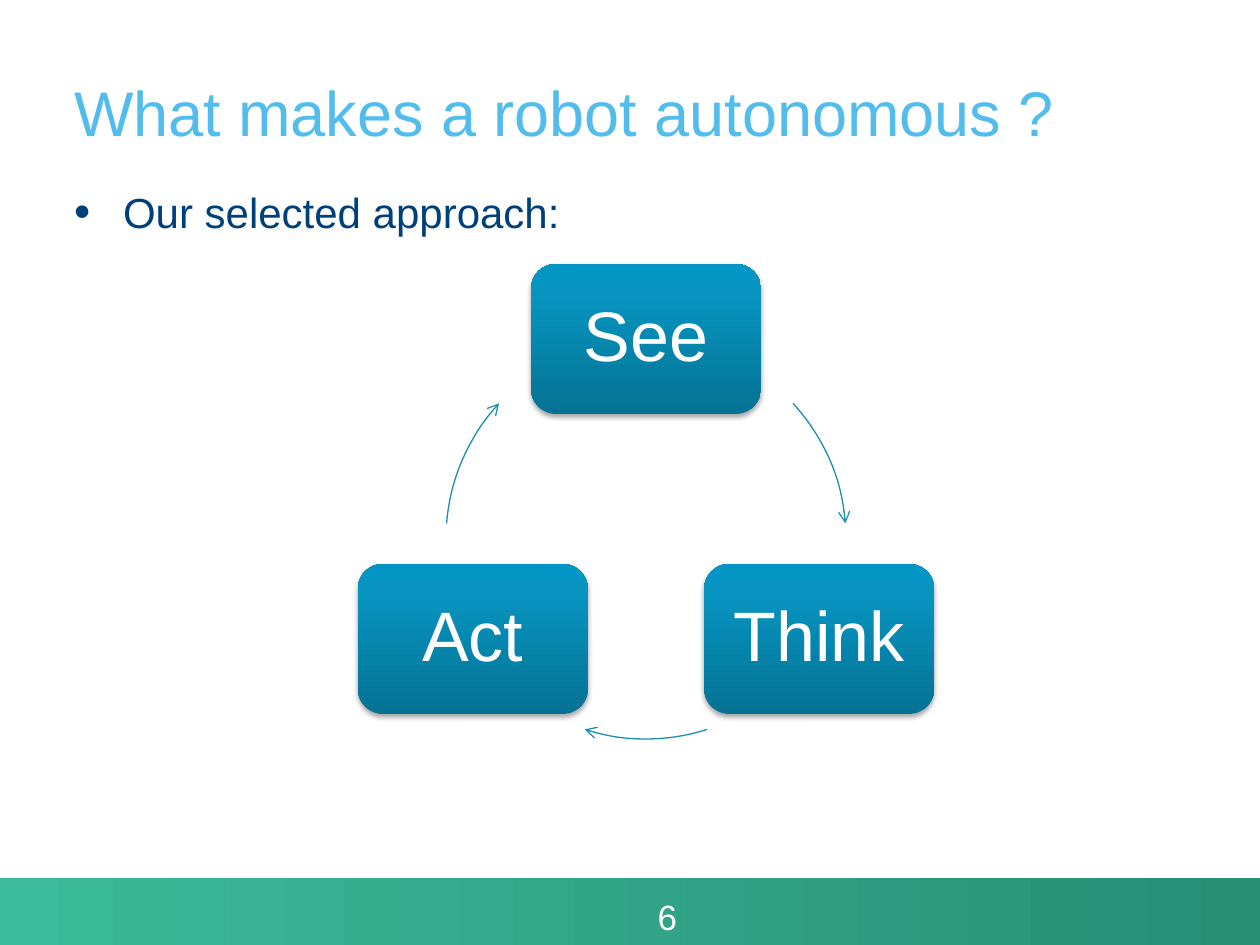
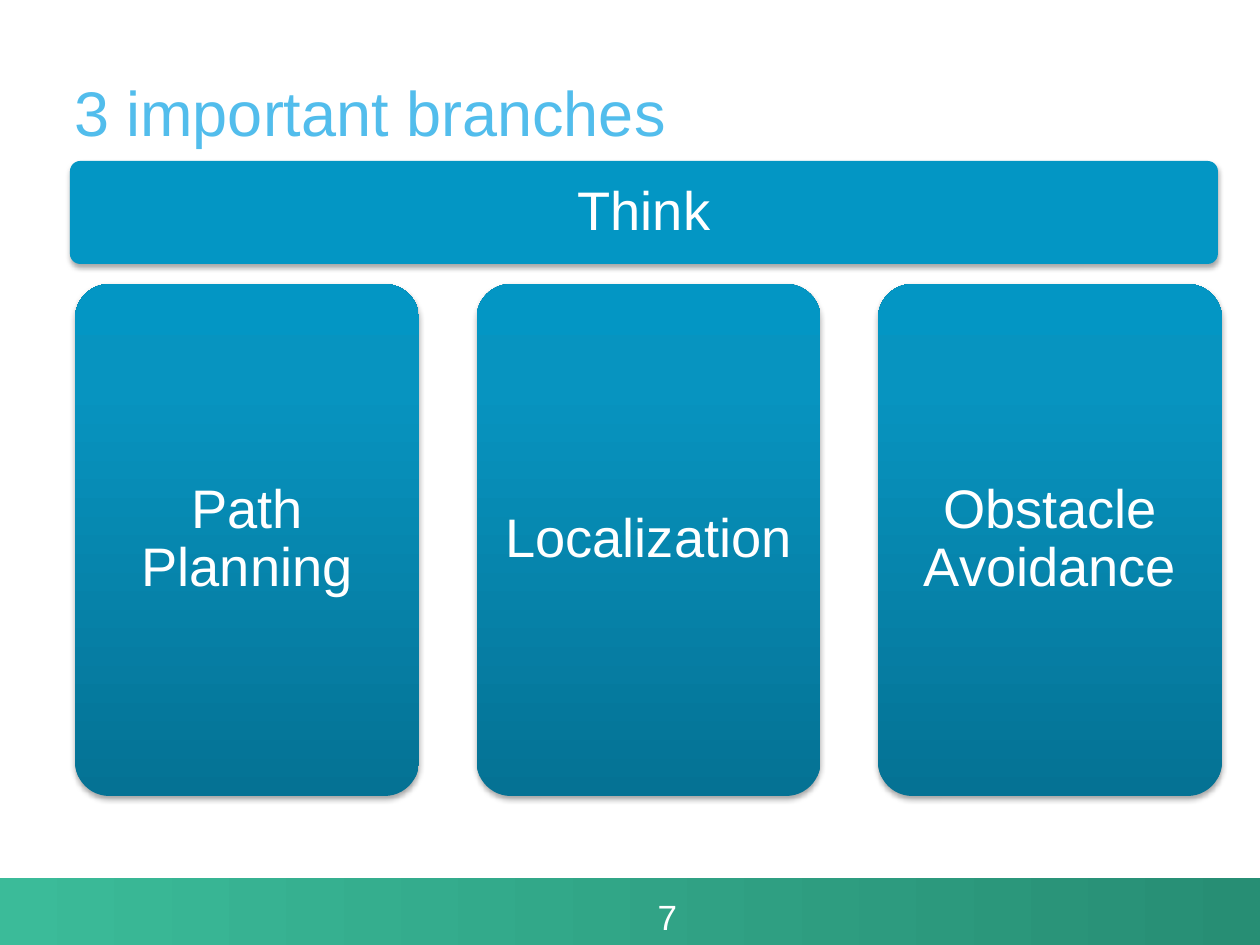
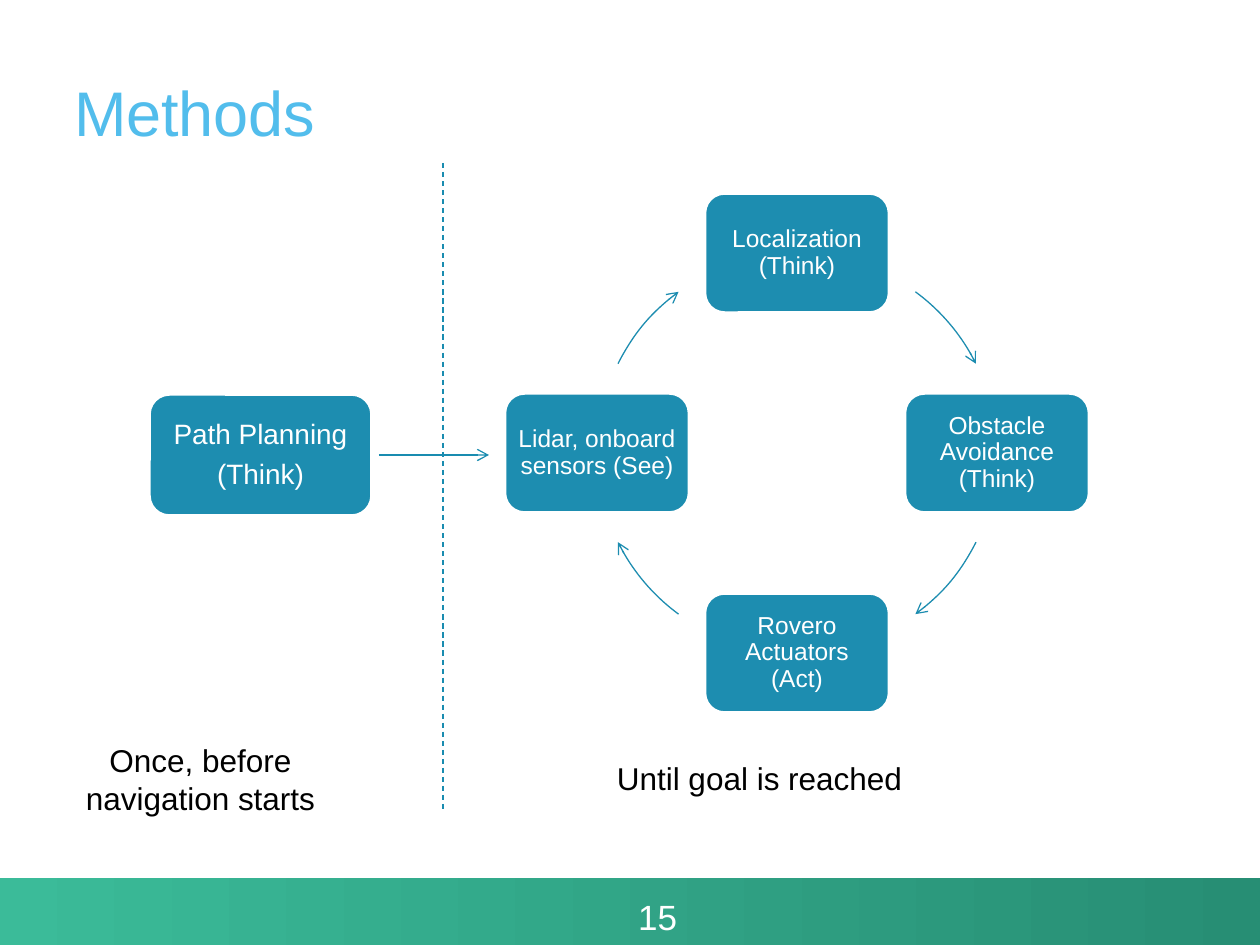
import math

import lxml.etree
import pptx
import pptx.dml.color
import pptx.enum.dml
import pptx.enum.shapes
import pptx.enum.text
import pptx.oxml.ns
import pptx.oxml.xmlchemy
import pptx.util

RGB = pptx.dml.color.RGBColor
SHAPE = pptx.enum.shapes.MSO_SHAPE
ALIGN = pptx.enum.text.PP_ALIGN
ANCHOR = pptx.enum.text.MSO_ANCHOR
qn = pptx.oxml.ns.qn

FONT = "Arial"
WHITE = RGB(0xFF, 0xFF, 0xFF)
BLACK = RGB(0x00, 0x00, 0x00)
TITLE_BLUE = RGB(0x52, 0xBD, 0xEC)
NAVY = RGB(0x00, 0x40, 0x7A)
TEAL = RGB(0x1D, 0x8D, 0xB0)
LINE_TEAL = RGB(0x19, 0x8C, 0xB0)
BAR_BLUE = RGB(0x03, 0x96, 0xC4)
BLUE_STOPS = [(0, RGB(0x05, 0x72, 0x94)), (80, RGB(0x07, 0x94, 0xC0)), (100, BAR_BLUE)]
GREEN_STOPS = [(0, RGB(0x3B, 0xBB, 0x99)), (100, RGB(0x27, 0x8E, 0x74))]

# Places are left, top, width, height in px
SLIDE_SIZE = (1260, 945)
TITLE_PLACE = (74, 25, 1148, 124)
BODY_PLACE = (74, 186, 1148, 88)
BAND_PLACE = (0, 878, 1260, 67)
NUMBER_PLACE = (583, 896, 94, 39)
BULLET_INDENT = 49

# Each cycle: nodes as (angle, text), arrows as (start angle, end angle), clockwise from the right
APPROACH = {
    "title": "What makes a robot autonomous ?",
    "number": "6",
    "bullet": "Our selected approach:",
    "center": (646, 539),
    "node_size": (230, 150),
    "nodes": [(270, "See"), (30, "Think"), (150, "Act")],
    "arrows": [(317.3, 355.5), (72.2, 107.8), (184.5, 222.7)],
    "style": {"size": 40, "inset": 21, "fill": BLUE_STOPS, "shadow": True},
}
BRANCHES = {
    "title": "3 important branches",
    "number": "7",
    "heading": "Think",
    "heading_place": (70, 161, 1148, 103),
    "columns": ["Path Planning", "Localization", "Obstacle Avoidance"],
    "first_column": (75, 284, 344, 512),
    "column_step": 401.5,
    "style": {"size": 31, "inset": 16, "shadow": True, "corner": 0.1},
}
METHODS = {
    "title": "Methods",
    "number": "15",
    "start": ["Path Planning", "(Think)"],
    "start_place": (149, 394, 223, 122),
    "start_arrow": (379, 455, 489, 455),
    "divider": (443, 163, 443, 811),
    "center": (797, 453),
    "node_size": (185, 120),
    "nodes": [
        (270, "Localization (Think)"),
        (0, "Obstacle Avoidance (Think)"),
        (90, "Rovero Actuators (Act)"),
        (180, "Lidar, onboard sensors (See)"),
    ],
    "arrows": [(306.3, 333.5), (26.5, 53.7), (126.3, 153.5), (206.5, 233.7)],
    "style": {"size": 14, "inset": 7, "fill": TEAL, "outline": WHITE},
    "captions": [
        ("Once, before navigation starts", (30, 735, 341, 89), True),
        ("Until goal is reached", (598, 753, 323, 50), False),
    ],
}
CYCLE_RADIUS = 200


def px(length):
    return pptx.util.Emu(round(length * 914400 / 126))


def place(shape, area):
    shape.left, shape.top, shape.width, shape.height = map(px, area)


def set_insets(frame, inset):
    frame.margin_left = frame.margin_right = px(inset)
    frame.margin_top = frame.margin_bottom = px(inset)


def add_span(para, text, size, color):
    span = para.add_run()
    span.text = text
    span.font.name = FONT
    span.font.size = pptx.util.Pt(size)
    span.font.color.rgb = color


def set_gradient(shape, stops, degrees):
    shape.fill.background()
    properties = shape.element.spPr
    gradient = pptx.oxml.xmlchemy.OxmlElement("a:gradFill")
    stop_list = lxml.etree.SubElement(gradient, qn("a:gsLst"))
    for percent, color in stops:
        stop = lxml.etree.SubElement(stop_list, qn("a:gs"), pos=str(percent * 1000))
        lxml.etree.SubElement(stop, qn("a:srgbClr"), val=str(color))
    lxml.etree.SubElement(gradient, qn("a:lin"), ang=str(degrees * 60000), scaled="0")
    properties.replace(properties.find(qn("a:noFill")), gradient)


def set_shadow(shape):
    effects = shape.element.spPr.find(qn("a:effectLst"))
    shadow = lxml.etree.SubElement(
        effects, qn("a:outerShdw"), blurRad="39370", dist="22860", dir="5400000", rotWithShape="0")
    color = lxml.etree.SubElement(shadow, qn("a:srgbClr"), val="000000")
    lxml.etree.SubElement(color, qn("a:alpha"), val="35000")


def add_arrowhead(shape):
    line = shape.element.spPr.find(qn("a:ln"))
    lxml.etree.SubElement(line, qn("a:tailEnd"), type="arrow")


def add_card(page, area, texts, size, inset, fill, outline=None, shadow=False, corner=0.1667):
    """Rounded box with centred white text, one paragraph for each of texts."""
    box = page.shapes.add_shape(SHAPE.ROUNDED_RECTANGLE, *map(px, area))
    box.adjustments[0] = corner
    box.shadow.inherit = False
    if isinstance(fill, list):
        set_gradient(box, fill, 270)
    else:
        box.fill.solid()
        box.fill.fore_color.rgb = fill
    if outline is None:
        box.line.fill.background()
    else:
        box.line.color.rgb = outline
        box.line.width = pptx.util.Pt(2)
    if shadow:
        set_shadow(box)
    frame = box.text_frame
    frame.word_wrap = True
    frame.vertical_anchor = ANCHOR.MIDDLE
    set_insets(frame, inset)
    for index, text in enumerate(texts):
        para = frame.add_paragraph() if index else frame.paragraphs[0]
        para.alignment = ALIGN.CENTER
        para.line_spacing = 0.9
        if index:
            para.space_before = pptx.util.Pt(round(size * 0.35, 1))
        add_span(para, text, size, WHITE)


def add_cycle(page, content):
    center_x, center_y = content["center"]
    width, height = content["node_size"]
    for angle, text in content["nodes"]:
        left = center_x + CYCLE_RADIUS * math.cos(math.radians(angle)) - width / 2
        top = center_y + CYCLE_RADIUS * math.sin(math.radians(angle)) - height / 2
        add_card(page, (left, top, width, height), [text], **content["style"])
    ring = (center_x - CYCLE_RADIUS, center_y - CYCLE_RADIUS, 2 * CYCLE_RADIUS, 2 * CYCLE_RADIUS)
    for angles in content["arrows"]:
        arc = page.shapes.add_shape(SHAPE.ARC, *map(px, ring))
        for index, angle in enumerate(angles):
            arc.adjustments[index] = angle * 0.6
        arc.shadow.inherit = False
        arc.fill.background()
        arc.line.color.rgb = TEAL
        arc.line.width = pptx.util.Pt(0.75)
        add_arrowhead(arc)


def add_line(page, ends):
    line = page.shapes.add_connector(pptx.enum.shapes.MSO_CONNECTOR.STRAIGHT, *map(px, ends))
    line.line.color.rgb = LINE_TEAL
    line.line.width = pptx.util.Pt(0.75)
    lxml.etree.SubElement(line.element.spPr, qn("a:effectLst"))
    return line


def add_text(page, area, text, size, color, alignment, wrap=True):
    box = page.shapes.add_textbox(*map(px, area))
    frame = box.text_frame
    frame.word_wrap = wrap
    para = frame.paragraphs[0]
    para.alignment = alignment
    add_span(para, text, size, color)
    return frame


def fill_placeholder(shape, area, text, size, color, anchor):
    place(shape, area)
    frame = shape.text_frame
    frame.auto_size = pptx.enum.text.MSO_AUTO_SIZE.NONE
    frame.vertical_anchor = anchor
    set_insets(frame, 0)
    para = frame.paragraphs[0]
    para.alignment = ALIGN.LEFT
    para.space_before = pptx.util.Pt(0)
    add_span(para, text, size, color)
    return para


def add_page(deck, layout_index, content):
    page = deck.slides.add_slide(deck.slide_layouts[layout_index])
    fill_placeholder(page.shapes.title, TITLE_PLACE, content["title"], 36, TITLE_BLUE, ANCHOR.BOTTOM)
    number = add_text(page, NUMBER_PLACE, content["number"], 20, WHITE, ALIGN.RIGHT)
    set_insets(number, 0)
    return page


def add_master_band(deck, page):
    """Draw the footer band on a page, then move it to the back of the master."""
    band = page.shapes.add_shape(SHAPE.RECTANGLE, *map(px, BAND_PLACE))
    band.shadow.inherit = False
    band.line.fill.background()
    set_gradient(band, GREEN_STOPS, 0)
    deck.slide_master.element.cSld.spTree.insert(2, band.element)


def build_approach(deck):
    page = add_page(deck, 1, APPROACH)
    add_master_band(deck, page)
    para = fill_placeholder(
        page.placeholders[1], BODY_PLACE, APPROACH["bullet"], 24, NAVY, ANCHOR.TOP)
    properties = para._p.get_or_add_pPr()
    properties.set("marL", str(px(BULLET_INDENT)))
    properties.set("indent", str(px(-BULLET_INDENT)))
    lxml.etree.SubElement(properties, qn("a:buSzPct"), val="110000")
    lxml.etree.SubElement(properties, qn("a:buChar"), char="•")
    add_cycle(page, APPROACH)


def build_branches(deck):
    page = add_page(deck, 5, BRANCHES)
    left, top, width, height = BRANCHES["first_column"]
    for index, text in enumerate(BRANCHES["columns"]):
        area = (left + index * BRANCHES["column_step"], top, width, height)
        add_card(page, area, [text], fill=BLUE_STOPS, **BRANCHES["style"])
    add_card(page, BRANCHES["heading_place"], [BRANCHES["heading"]],
             fill=BAR_BLUE, **BRANCHES["style"])


def build_methods(deck):
    page = add_page(deck, 5, METHODS)
    add_card(page, METHODS["start_place"], METHODS["start"], 16, 9, TEAL, WHITE)
    add_arrowhead(add_line(page, METHODS["start_arrow"]))
    divider = add_line(page, METHODS["divider"])
    divider.line.dash_style = pptx.enum.dml.MSO_LINE.DASH
    add_cycle(page, METHODS)
    for text, area, wrap in METHODS["captions"]:
        add_text(page, area, text, 18, BLACK, ALIGN.CENTER, wrap)


def main():
    deck = pptx.Presentation()
    deck.slide_width, deck.slide_height = map(px, SLIDE_SIZE)
    build_approach(deck)
    build_branches(deck)
    build_methods(deck)
    deck.save("out.pptx")


if __name__ == "__main__":
    main()
